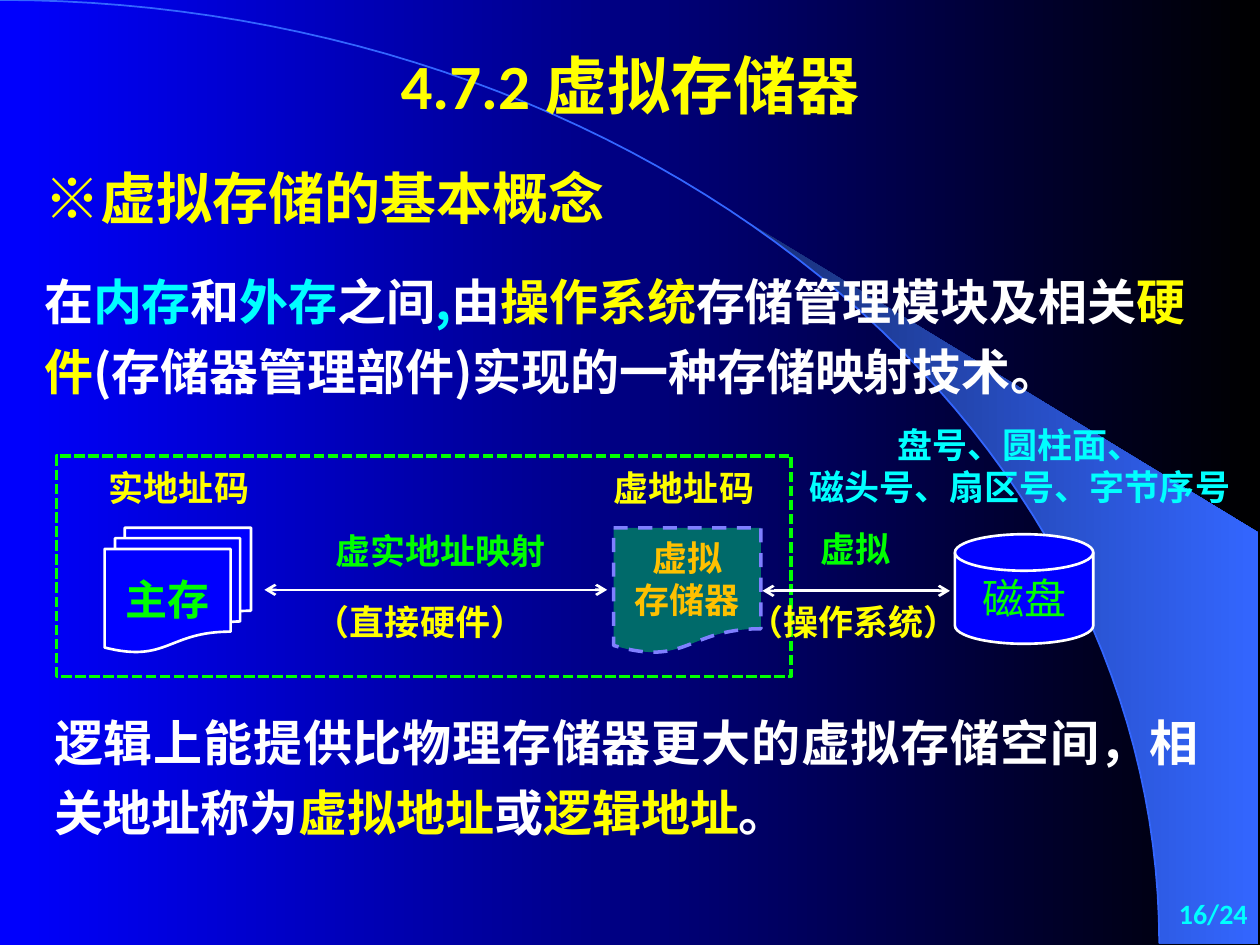
from math import cos, radians, sin

from lxml import etree
from pptx import Presentation
from pptx.dml.color import RGBColor
from pptx.enum.dml import MSO_LINE
from pptx.enum.shapes import MSO_CONNECTOR, MSO_SHAPE
from pptx.enum.text import MSO_ANCHOR, PP_ALIGN
from pptx.oxml.ns import qn
from pptx.util import Cm, Pt

LEFT, MID, RIGHT, JUST = PP_ALIGN.LEFT, PP_ALIGN.CENTER, PP_ALIGN.RIGHT, PP_ALIGN.JUSTIFY
TOP, CENTER = MSO_ANCHOR.TOP, MSO_ANCHOR.MIDDLE
DASH, DOTS = MSO_LINE.DASH, MSO_LINE.SQUARE_DOT
RECT, DOC = MSO_SHAPE.RECTANGLE, MSO_SHAPE.FLOWCHART_DOCUMENT
STACK, DISK = MSO_SHAPE.FLOWCHART_MULTIDOCUMENT, MSO_SHAPE.FLOWCHART_MAGNETIC_DISK
STRAIGHT = MSO_CONNECTOR.STRAIGHT
HAN = "Noto Sans CJK SC"

HUES = {
    "blue": "0000FF", "black": "000000", "navy": "182F76", "sky": "3366FF",
    "yellow": "FFFF00", "cyan": "00FFFF", "white": "FFFFFF", "green": "00FF00",
    "teal": "006A6A", "lilac": "7F7FFF", "gold": "FFC000",
}

WIDE, HIGH = 25.4, 19.05
ARC_W, ARC_H = 23.37, 19.02
EDGE, NOTCH = 25.37, 10.74
CUT = 39.8

INTRO = [
    ("在", "white"), ("内存", "cyan"), ("和", "white"), ("外存", "cyan"),
    ("之间", "white"), (",", "cyan"), ("由", "white"), ("操作系统", "yellow"),
    ("存储管理模块及相关", "white"), ("硬件", "yellow"),
    ("(存储器管理部件)实现的一种存储映射技术。", "white"),
]
CLOSE = [
    ("逻辑上能提供比物理存储器更大的虚拟存储空间，相关地址称为", "white"),
    ("虚拟地址", "yellow"), ("或", "white"), ("逻辑地址", "yellow"), ("。", "white"),
]

BLOCKS = [
    ((0.84, 0.64, 23.72, 2.11), "4.7.2 虚拟存储器",
     dict(size=36, face="Calibri", hue="yellow", align=MID, anchor=CENTER)),
    ((0.64, 3.18, 12.7, 1.9), "※虚拟存储的基本概念",
     dict(size=32, hue="yellow", align=JUST)),
    ((0.64, 5.11, 23.7, 3.1), INTRO, dict(size=28, space=1.2)),
    ((0.84, 14, 23.6, 3.1), CLOSE, dict(size=28, space=1.2, align=JUST)),
    ((20.12, 17.78, 5.28, 1.27), "16/24",
     dict(size=16, face="Calibri", hue="cyan", align=RIGHT, anchor=CENTER)),
]

NODES = [
    (RECT, (1.14, 9.19, 14.81, 4.45), None, "green", 2, DOTS, "", {}),
    (STACK, (2.11, 10.64, 2.95, 2.51), "blue", "white", 1.5, None, "主存",
     dict(size=24, face="Arial", hue="green", wrap=False)),
    (DISK, (19.25, 10.77, 2.79, 2.21), "blue", "white", 1.5, None, "磁盘",
     dict(size=24, face="Arial", hue="green", bold=False, wrap=False)),
    (DOC, (12.37, 10.64, 2.97, 2.54), "teal", "lilac", 2, DASH, "虚拟\n存储器",
     dict(size=20, hue="gold")),
]

LABELS = [
    ("虚实地址映射", 8.88, 11.09, "green"),
    ("虚拟", 17.25, 11.06, "green"),
    ("（直接硬件）", 8.47, 12.53, "yellow"),
    ("（操作系统）", 17.21, 12.53, "yellow"),
    ("实地址码", 3.61, 9.82, "yellow"),
    ("虚地址码", 13.79, 9.82, "yellow"),
    ("盘号、圆柱面、\n磁头号、扇区号、字节序号", 20.56, 9.39, "cyan"),
]
GLYPH, INSET, LABEL_H = 0.71, 0.8, 1.6

ARROWS = [(5.33, 12.24, 11.89), (15.37, 19.15, 11.91)]


def rgb(hue):
    return RGBColor.from_string(HUES[hue])


def blend(fill, *hues):
    fill.gradient()
    fill.gradient_angle = 0
    for stop, hue in zip(fill.gradient_stops, hues):
        stop.color.rgb = rgb(hue)


def put(shape, text, size=20, face=HAN, hue="white", bold=True, align=LEFT,
        anchor=TOP, space=None, wrap=True):
    frame = shape.text_frame
    frame.word_wrap = wrap
    frame.vertical_anchor = anchor
    if isinstance(text, str):
        paras = [[(line, hue)] for line in text.split("\n")]
    else:
        paras = [text]
    for i, runs in enumerate(paras):
        para = frame.add_paragraph() if i else frame.paragraphs[0]
        para.alignment = align
        para.line_spacing = space
        for words, tone in runs:
            run = para.add_run()
            run.text = words
            font = run.font
            font.size, font.name, font.bold = Pt(size), face, bold
            font.color.rgb = rgb(tone)
            etree.SubElement(run._r.get_or_add_rPr(), qn("a:ea"), typeface=HAN)


def stroke(line, hue, width, dash=None):
    line.color.rgb = rgb(hue)
    line.width = Pt(width)
    if dash:
        line.dash_style = dash


def curve(first):
    steps = 60
    turns = [radians(first + (90 - first) * i / steps) for i in range(steps + 1)]
    return [(ARC_W * sin(t), ARC_H * (1 - cos(t))) for t in turns]


def trace(shapes, spots, close):
    spots = [(Cm(x), Cm(y)) for x, y in spots]
    pen = shapes.build_freeform(*spots[0])
    pen.add_line_segments(spots[1:], close=close)
    shape = pen.convert_to_shape()
    shape.shadow.inherit = False
    return shape


def main():
    deck = Presentation()
    deck.slide_width, deck.slide_height = Cm(WIDE), Cm(HIGH)
    slide = deck.slides.add_slide(deck.slide_layouts[6])
    shapes = slide.shapes
    blend(slide.background.fill, "blue", "black")

    moon = trace(shapes, curve(CUT) + [(EDGE, ARC_H), (EDGE, NOTCH)], True)
    blend(moon.fill, "navy", "sky")
    moon.line.fill.background()
    arc = trace(shapes, curve(0), False)
    arc.fill.background()
    stroke(arc.line, "sky", 1)

    for box, text, form in BLOCKS:
        put(shapes.add_textbox(*map(Cm, box)), text, **form)

    for kind, box, fill, hue, width, dash, text, form in NODES:
        node = shapes.add_shape(kind, *map(Cm, box))
        node.shadow.inherit = False
        if fill:
            node.fill.solid()
            node.fill.fore_color.rgb = rgb(fill)
        else:
            node.fill.background()
        stroke(node.line, hue, width, dash)
        if text:
            put(node, text, align=MID, anchor=CENTER, **form)

    for left, right, y in ARROWS:
        arrow = shapes.add_connector(STRAIGHT, Cm(left), Cm(y), Cm(right), Cm(y))
        stroke(arrow.line, "white", 1.5)
        for end in ("a:headEnd", "a:tailEnd"):
            etree.SubElement(arrow.line._get_or_add_ln(), qn(end), type="arrow")
        etree.SubElement(arrow._element.spPr, qn("a:effectLst"))

    for text, x, y, hue in LABELS:
        width = max(map(len, text.split("\n"))) * GLYPH + INSET
        box = (x - width / 2, y - LABEL_H / 2, width, LABEL_H)
        put(shapes.add_textbox(*map(Cm, box)), text, face="Arial", hue=hue,
            align=MID, anchor=CENTER, wrap=False)

    deck.save("out.pptx")


if __name__ == "__main__":
    main()
